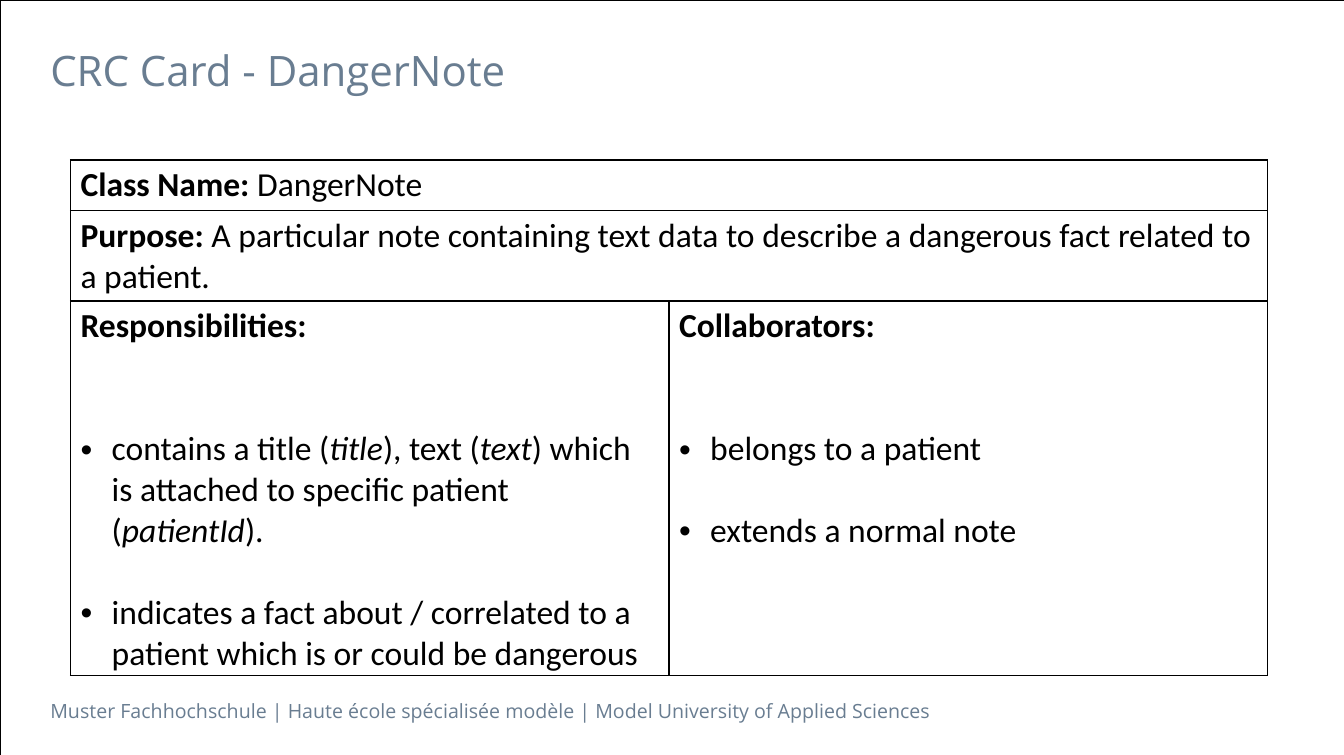
import pptx
import pptx.dml.color
import pptx.enum.shapes
import pptx.enum.text
import pptx.oxml
import pptx.oxml.ns
import pptx.util

WIDE, HIGH = 13.35, 7.5
EDGE = 0.5
HUES = {"slate": "697D91", "ink": "000000"}
LINE = 29.3  # height of one 24 pt text line
inch = pptx.util.Inches
NS = pptx.oxml.ns.nsdecls("a")


def color(name):
    return pptx.dml.color.RGBColor.from_string(HUES[name])


def write(para, text, size=24, font="Calibri", hue="ink", bold=False, italic=False):
    run = para.add_run()
    run.text = text
    run.font.size = pptx.util.Pt(size)
    run.font.name = font
    run.font.bold = bold
    run.font.italic = italic
    run.font.color.rgb = color(hue)


def label(slide, text, top, width, height, size):
    box = slide.shapes.add_textbox(inch(EDGE), inch(top), inch(width), inch(height))
    frame = box.text_frame
    frame.word_wrap = True
    frame.margin_left = frame.margin_right = 0
    frame.vertical_anchor = pptx.enum.text.MSO_ANCHOR.TOP
    write(frame.paragraphs[0], text, size=size, font="Open Sans", hue="slate")


def border(slide):
    rect = slide.shapes.add_shape(
        pptx.enum.shapes.MSO_SHAPE.RECTANGLE, 0, 0, inch(WIDE), inch(HIGH))
    rect.shadow.inherit = False
    rect.fill.background()
    rect.line.color.rgb = color("ink")
    rect.line.width = pptx.util.Pt(0.5)


def outline(cell):
    props = cell._tc.get_or_add_tcPr()
    for side in "LRTB":
        props.append(pptx.oxml.parse_xml(
            f'<a:ln{side} {NS} w="12700"><a:solidFill>'
            f'<a:srgbClr val="{HUES["ink"]}"/></a:solidFill></a:ln{side}>'))
    cell.fill.background()


def head(cell, title, text=""):
    para = cell.text_frame.paragraphs[0]
    write(para, title, bold=True)
    if text:
        write(para, text)


def bullets(cell, items):
    """Each item lists its parts; every second part is italic."""
    for i, parts in enumerate(items):
        para = cell.text_frame.add_paragraph()
        para.space_before = pptx.util.Pt(LINE if i else 2 * LINE)
        props = para._p.get_or_add_pPr()
        props.set("marL", str(inch(0.31)))
        props.set("indent", str(-inch(0.31)))
        props.append(pptx.oxml.parse_xml(f'<a:buFont {NS} typeface="Arial"/>'))
        props.append(pptx.oxml.parse_xml(f'<a:buChar {NS} char="•"/>'))
        for j, part in enumerate(parts):
            write(para, part, italic=j % 2 == 1)


def card(slide):
    rows = (0.5, 0.9, 3.7)
    wide = 11.89
    grid = slide.shapes.add_table(
        3, 2, inch(0.7), inch(1.59), inch(wide), inch(sum(rows))).table
    grid.first_row = grid.horz_banding = False
    for col in grid.columns:
        col.width = inch(wide / 2)
    for row, height in zip(grid.rows, rows):
        row.height = inch(height)
        for cell in row.cells:
            outline(cell)
    for r in range(2):
        grid.cell(r, 0).merge(grid.cell(r, 1))

    # Class and purpose
    head(grid.cell(0, 0), "Class Name: ", "DangerNote")
    head(grid.cell(1, 0), "Purpose: ",
         "A particular note containing text data to describe "
         "a dangerous fact related to a patient.")

    # Duties and partners
    left, right = grid.cell(2, 0), grid.cell(2, 1)
    head(left, "Responsibilities:")
    bullets(left, [
        ["contains a title (", "title", "), text (", "text",
         ") which is attached to specific patient (", "patientId", ")."],
        ["indicates a fact about / correlated to a patient "
         "which is or could be dangerous"]])
    head(right, "Collaborators:")
    bullets(right, [["belongs to a patient"], ["extends a normal note"]])


def main():
    deck = pptx.Presentation()
    deck.slide_width, deck.slide_height = inch(WIDE), inch(HIGH)
    slide = deck.slides.add_slide(deck.slide_layouts[6])
    label(slide, "Muster Fachhochschule | Haute école spécialisée modèle | "
          "Model University of Applied Sciences", 6.89, 9.77, 0.34, 14)
    border(slide)
    card(slide)
    label(slide, "CRC Card - DangerNote", 0.39, 12.3, 0.59, 30)
    deck.save("out.pptx")


main()
